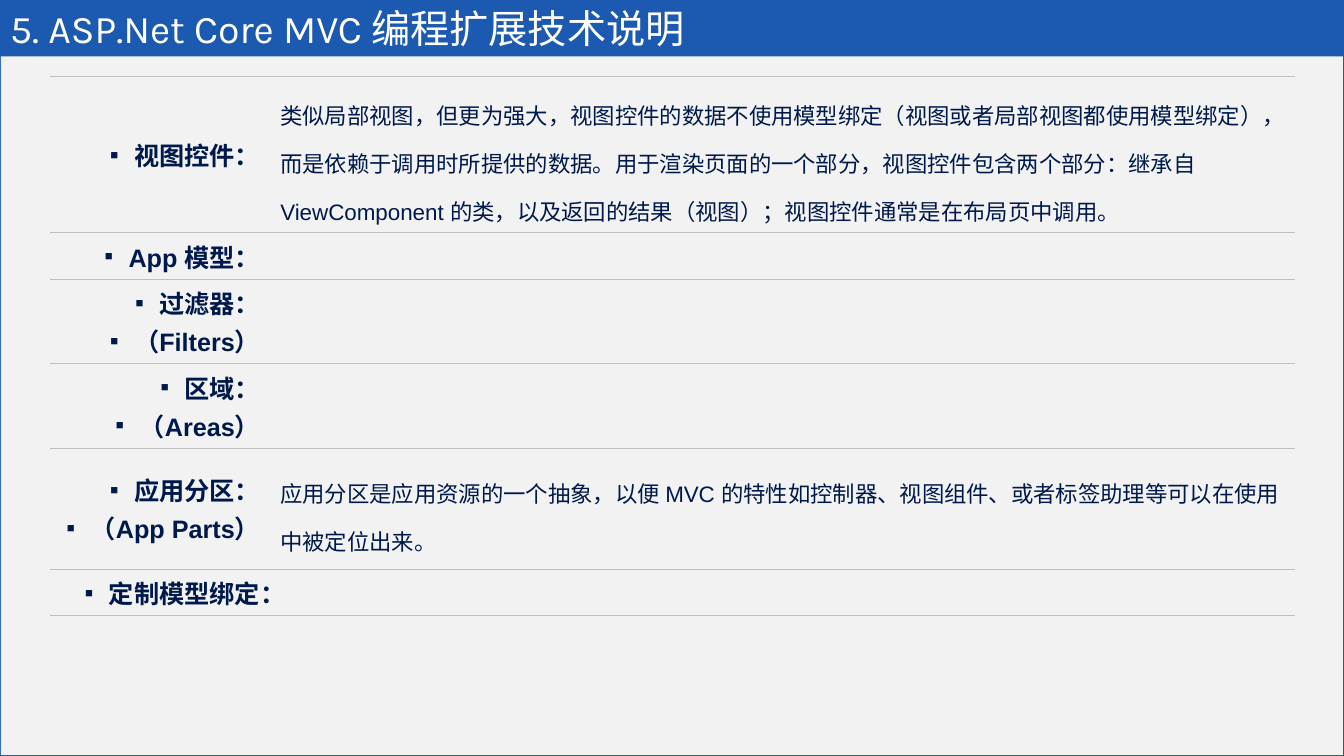
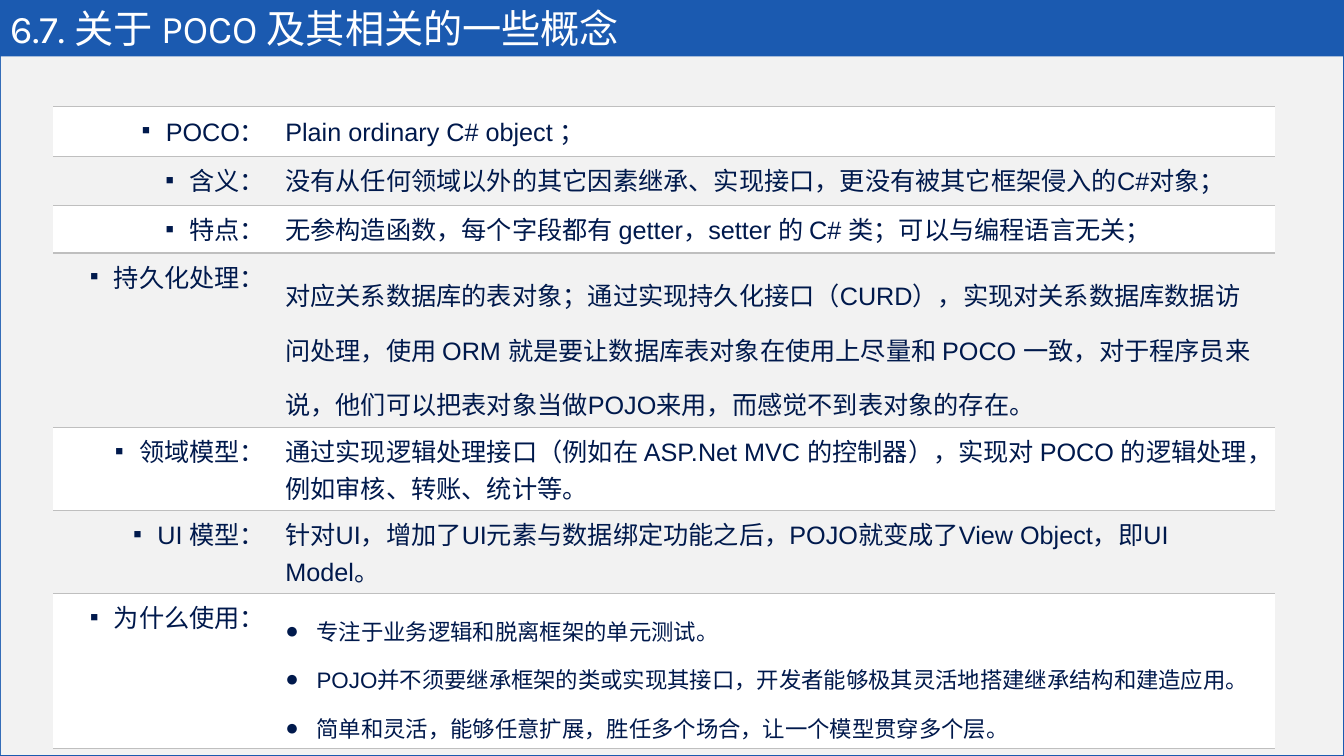
from dataclasses import dataclass, field

from lxml import etree
from pptx import Presentation
from pptx.dml.color import RGBColor
from pptx.enum import shapes, text
from pptx.oxml import ns
from pptx.util import Inches, Pt

COLORS = {
    "band": "1B5AB0",
    "panel": "F2F2F2",
    "title": "FFFFFF",
    "text": "00194C",
    "rule": "BFBFBF",
    "stripe": "FFFFFF",
}
TITLE_FONT = "Karla"
BODY_FONT = "Arial"
LABEL_HANG = 0.24
LIST_HANG = 0.31


@dataclass
class Row:
    height: float
    labels: list
    body: list = field(default_factory=list)
    size: int = 18
    spacing: float = 1.0
    bullet: str = ""


@dataclass
class TableStyle:
    bold_labels: bool
    anchor: text.MSO_ANCHOR
    striped: bool


def color(name):
    return RGBColor.from_string(COLORS[name])


def style_font(font, size, name, color_name, bold=False):
    font.size = Pt(size)
    font.name = name
    font.bold = bold
    font.color.rgb = color(color_name)


def add_bullet(para, char, hang):
    properties = para._p.get_or_add_pPr()
    properties.set("marL", str(Inches(hang)))
    properties.set("indent", str(-Inches(hang)))
    etree.SubElement(properties, ns.qn("a:buFont"), typeface=BODY_FONT)
    etree.SubElement(properties, ns.qn("a:buChar"), char=char)


def rule_cell(cell):
    """Draw grey rules above and below the cell and none at its sides."""
    properties = cell._tc.get_or_add_tcPr()
    for side in ("lnL", "lnR", "lnT", "lnB"):
        line = etree.SubElement(properties, ns.qn(f"a:{side}"), w=str(Pt(1)))
        if side in ("lnL", "lnR"):
            etree.SubElement(line, ns.qn("a:noFill"))
        else:
            fill = etree.SubElement(line, ns.qn("a:solidFill"))
            etree.SubElement(fill, ns.qn("a:srgbClr"), val=COLORS["rule"])


def fill_label(cell, row, bold):
    frame = cell.text_frame
    frame.text = "\n".join(row.labels)
    for index, para in enumerate(frame.paragraphs):
        add_bullet(para, "▪", LABEL_HANG)
        para.alignment = text.PP_ALIGN.RIGHT
        if index:
            para.space_before = Pt(1)
        for span in para.runs:
            style_font(span.font, 18, BODY_FONT, "text", bold)


def fill_body(cell, row):
    frame = cell.text_frame
    frame.text = "\n".join(row.body)
    for para in frame.paragraphs:
        if row.bullet:
            add_bullet(para, row.bullet, LIST_HANG)
        para.line_spacing = row.spacing
        for span in para.runs:
            style_font(span.font, row.size, BODY_FONT, "text")


def add_term_table(page, left, top, widths, rows, style):
    height = sum(row.height for row in rows)
    frame = page.shapes.add_table(
        len(rows), len(widths), Inches(left), Inches(top),
        Inches(sum(widths)), Inches(height))
    table = frame.table
    table.first_row = False
    table.horz_banding = False
    for column, width in zip(table.columns, widths):
        column.width = Inches(width)
    for index, row in enumerate(rows):
        table.rows[index].height = Inches(row.height)
        label, body = table.cell(index, 0), table.cell(index, 1)
        fill_label(label, row, style.bold_labels)
        fill_body(body, row)
        for cell in (label, body):
            cell.vertical_anchor = style.anchor
            rule_cell(cell)
            if style.striped and index % 2 == 0:
                cell.fill.solid()
                cell.fill.fore_color.rgb = color("stripe")
            else:
                cell.fill.background()


def add_page(deck, heading):
    """Add a page with the blue title band and the grey panel below it."""
    page = deck.slides.add_slide(deck.slide_layouts[5])
    page.background.fill.solid()
    page.background.fill.fore_color.rgb = color("band")

    panel = page.shapes.add_shape(
        shapes.MSO_SHAPE.RECTANGLE,
        Inches(0.01), Inches(0.56), Inches(13.31), Inches(6.93))
    panel.shadow.inherit = False
    panel.fill.solid()
    panel.fill.fore_color.rgb = color("panel")
    panel.line.fill.background()

    title = page.shapes.title
    title.left, title.top = Inches(0), Inches(0.01)
    title.width, title.height = Inches(13.33), Inches(0.54)
    frame = title.text_frame
    frame.text = heading
    frame.auto_size = text.MSO_AUTO_SIZE.NONE
    frame.vertical_anchor = text.MSO_ANCHOR.MIDDLE
    para = frame.paragraphs[0]
    para.alignment = text.PP_ALIGN.LEFT
    style_font(para.runs[0].font, 28, TITLE_FONT, "title")
    return page


def add_extension_page(deck):
    page = add_page(deck, "5. ASP.Net Core MVC 编程扩展技术说明")
    rows = [
        Row(1.55, ["视图控件："], [
            "类似局部视图，但更为强大，视图控件的数据不使用模型绑定"
            "（视图或者局部视图都使用模型绑定），而是依赖于调用时所提供的数据。"
            "用于渲染页面的一个部分，视图控件包含两个部分：继承自 ViewComponent "
            "的类，以及返回的结果（视图）；视图控件通常是在布局页中调用。"],
            size=16, spacing=1.5),
        Row(0.46, ["App 模型："]),
        Row(0.82, ["过滤器：", "（Filters）"]),
        Row(0.82, ["区域：", "（Areas）"]),
        Row(1.06, ["应用分区：", "（App Parts）"], [
            "应用分区是应用资源的一个抽象，以便 MVC 的特性如控制器、视图组件、"
            "或者标签助理等可以在使用中被定位出来。"],
            size=16, spacing=1.5),
        Row(0.46, ["定制模型绑定："]),
    ]
    style = TableStyle(True, text.MSO_ANCHOR.MIDDLE, striped=False)
    add_term_table(page, 0.5, 0.76, (2.18, 10.16), rows, style)


def add_poco_page(deck):
    page = add_page(deck, "6.7. 关于 POCO 及其相关的一些概念")
    rows = [
        Row(0.49, ["POCO："], ["Plain ordinary C# object ；"]),
        Row(0.49, ["含义："], [
            "没有从任何领域以外的其它因素继承、实现接口，"
            "更没有被其它框架侵入的C#对象；"]),
        Row(0.47, ["特点："], [
            "无参构造函数，每个字段都有 getter，setter 的 C# 类；"
            "可以与编程语言无关；"]),
        Row(1.73, ["持久化处理："], [
            "对应关系数据库的表对象；通过实现持久化接口（CURD），"
            "实现对关系数据库数据访问处理，使用 ORM "
            "就是要让数据库表对象在使用上尽量和 POCO 一致，对于程序员来说，"
            "他们可以把表对象当做POJO来用，而感觉不到表对象的存在。"],
            spacing=1.5),
        Row(0.82, ["领域模型："], [
            "通过实现逻辑处理接口（例如在 ASP.Net MVC 的控制器），"
            "实现对 POCO 的逻辑处理，例如审核、转账、统计等。"]),
        Row(0.82, ["UI 模型："], [
            "针对UI，增加了UI元素与数据绑定功能之后，"
            "POJO就变成了View Object，即UI Model。"]),
        Row(1.54, ["为什么使用："], [
            "专注于业务逻辑和脱离框架的单元测试。",
            "POJO并不须要继承框架的类或实现其接口，"
            "开发者能够极其灵活地搭建继承结构和建造应用。",
            "简单和灵活，能够任意扩展，胜任多个场合，让一个模型贯穿多个层。"],
            size=16, spacing=1.5, bullet="●"),
    ]
    style = TableStyle(False, text.MSO_ANCHOR.TOP, striped=True)
    add_term_table(page, 0.53, 1.06, (2.2, 9.92), rows, style)


def main():
    deck = Presentation()
    deck.slide_width, deck.slide_height = Inches(13.33), Inches(7.5)
    add_extension_page(deck)
    add_poco_page(deck)
    deck.save("out.pptx")


if __name__ == "__main__":
    main()
